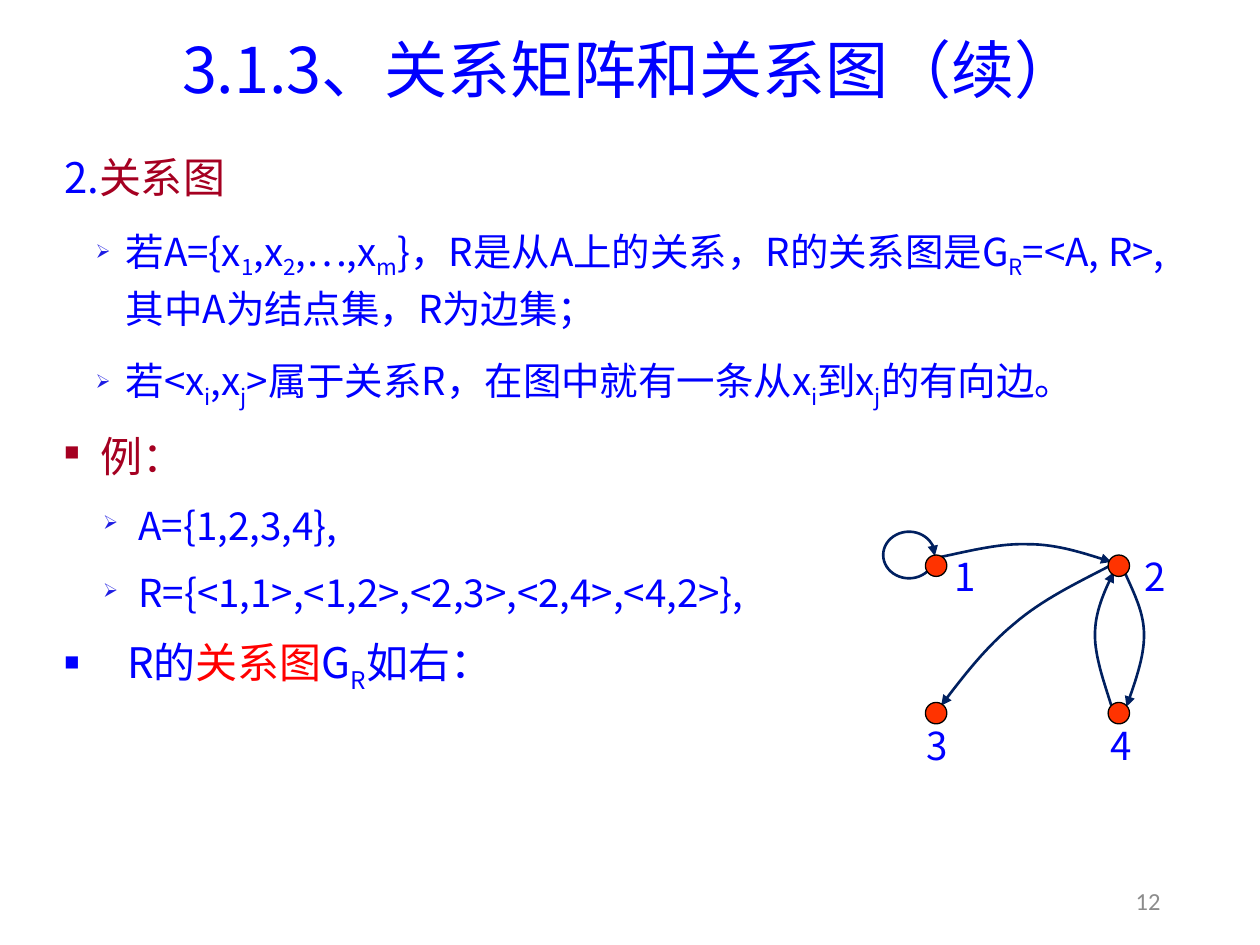
from lxml.etree import SubElement
from pptx import Presentation
from pptx.dml.color import RGBColor
from pptx.enum.shapes import MSO_SHAPE as Shape
from pptx.enum.text import MSO_ANCHOR as Anchor, MSO_AUTO_SIZE as AutoSize, PP_ALIGN as Align
from pptx.oxml.ns import qn
from pptx.util import Inches, Pt

COLORS = {"blue": "0000FF", "maroon": "A50021", "red": "FF0000", "bullet": "1E1CE3",
          "edge": "002060", "node": "FF3300", "outline": "000000", "gray": "8C8C8C"}
BODY_FONT = "Noto Sans CJK SC"
TITLE_FONT = "Noto Sans CJK JP"
NODE_SIZE = 0.17
CURVE_STEPS = 16

# Node centres and label box positions, by node number
NODES = {"1": (7.43, 4.49), "2": (8.88, 4.49), "3": (7.43, 5.66), "4": (8.88, 5.66)}
LABELS = {"1": (7.45, 4.34), "2": (8.96, 4.34), "3": (7.23, 5.68), "4": (8.69, 5.68)}

# Each edge: a start point followed by the control and end points of two cubic curves
EDGES = [
    [(8.81, 4.49), (8.54, 4.63), (8.27, 4.76), (8.05, 4.95), (7.83, 5.13), (7.65, 5.36), (7.47, 5.6)],
    [(8.93, 4.55), (9, 4.71), (9.08, 4.86), (9.08, 5.04), (9.08, 5.22), (9.01, 5.41), (8.94, 5.61)],
    [(8.82, 5.6), (8.76, 5.41), (8.69, 5.21), (8.69, 5.04), (8.69, 4.86), (8.76, 4.7), (8.84, 4.54)],
    [(7.47, 4.42), (7.71, 4.37), (7.94, 4.31), (8.17, 4.32), (8.39, 4.32), (8.6, 4.39), (8.82, 4.46)],
]

# Paragraph styles; text between underscores is subscript
ARROW = {"level": 1, "bullet": "➢", "bullet_color": "bullet", "size": 22}
DEFINITION = {**ARROW, "margin": 0.49, "indent": -0.24}
EXAMPLE = {**ARROW, "margin": 0.59, "indent": -0.28}
BODY = [
    ({"spacing": 1.3, "before": 0}, [("2.", "blue"), ("关系图", "maroon")]),
    ({**DEFINITION, "spacing": 1.1, "after": 0},
     [("若A={x_1_,x_2_,…,x_m_}，R是从A上的关系，R的关系图是G_R_=<A, R>, 其中A为结点集，R为边集；", "blue")]),
    ({**DEFINITION, "spacing": 1.3},
     [("若<x_i_,x_j_>属于关系R，在图中就有一条从x_i_到x_j_的有向边。", "blue")]),
    ({"bullet": "■", "margin": 0.29, "indent": -0.29}, [("例：", "maroon")]),
    (EXAMPLE, [("A={1,2,3,4},", "blue")]),
    (EXAMPLE, [("R={<1,1>,<1,2>,<2,3>,<2,4>,<4,2>},", "blue")]),
    ({"bullet": "■", "margin": 0.5, "indent": -0.5},
     [("R的", "blue"), ("关系图", "red"), ("G_R_如右：", "blue")]),
]


def rgb(name):
    return RGBColor.from_string(COLORS[name])


def add_run(paragraph, text, size, color, font=BODY_FONT, subscript=False):
    run = paragraph.add_run()
    run.text = text
    run.font.size = Pt(size)
    run.font.color.rgb = rgb(color)
    run.font.name = font
    properties = run.font._element
    SubElement(properties, qn("a:ea"), typeface=font)
    if subscript:
        properties.set("baseline", "-25000")


def add_textbox(shapes, left, top, width, height, anchor=Anchor.TOP):
    box = shapes.add_textbox(Inches(left), Inches(top), Inches(width), Inches(height))
    frame = box.text_frame
    frame.word_wrap = True
    frame.auto_size = AutoSize.NONE
    frame.vertical_anchor = anchor
    return frame


def set_bullet(paragraph, character, margin, indent, color=None):
    properties = paragraph._p.get_or_add_pPr()
    properties.set("marL", str(Inches(margin)))
    properties.set("indent", str(Inches(indent)))
    if color:
        SubElement(SubElement(properties, qn("a:buClr")), qn("a:srgbClr"), val=COLORS[color])
    SubElement(properties, qn("a:buSzPct"), val="50000")
    SubElement(properties, qn("a:buChar"), char=character)


def add_title(slide, text):
    title = slide.shapes.title
    title.left, title.top = Inches(0.69), Inches(0.29)
    title.width, title.height = Inches(8.62), Inches(0.58)
    frame = title.text_frame
    frame.auto_size = AutoSize.NONE
    frame.vertical_anchor = Anchor.MIDDLE
    paragraph = frame.paragraphs[0]
    paragraph.alignment = Align.CENTER
    paragraph.line_spacing = 0.9
    add_run(paragraph, text, 36, "blue", TITLE_FONT)


def add_body(slide):
    frame = add_textbox(slide.shapes, 0.41, 1.03, 9.18, 4.47)
    for index, (style, pieces) in enumerate(BODY):
        paragraph = frame.add_paragraph() if index else frame.paragraphs[0]
        paragraph.level = style.get("level", 0)
        if "bullet" in style:
            set_bullet(paragraph, style["bullet"], style["margin"], style["indent"],
                       style.get("bullet_color"))
        paragraph.line_spacing = style.get("spacing", 1.0)
        paragraph.space_before = Pt(style.get("before", 6))
        paragraph.space_after = Pt(style.get("after", 6))
        for text, color in pieces:
            for part, words in enumerate(text.split("_")):
                add_run(paragraph, words, style.get("size", 24), color, subscript=part % 2 == 1)


def style_edge(shape):
    shape.shadow.inherit = False
    shape.fill.background()
    shape.line.color.rgb = rgb("edge")
    shape.line.width = Pt(1.5)
    SubElement(shape.line._get_or_add_ln(), qn("a:tailEnd"), type="triangle")


def curve_points(points):
    """Sample the chained cubic curves after their start point."""
    for first in range(0, len(points) - 1, 3):
        corners = points[first:first + 4]
        for step in range(1, CURVE_STEPS + 1):
            t = step / CURVE_STEPS
            weights = ((1 - t) ** 3, 3 * t * (1 - t) ** 2, 3 * t * t * (1 - t), t ** 3)
            yield tuple(Inches(sum(w * corner[axis] for w, corner in zip(weights, corners)))
                        for axis in (0, 1))


def add_edge(shapes, points):
    x, y = points[0]
    builder = shapes.build_freeform(Inches(x), Inches(y))
    builder.add_line_segments(list(curve_points(points)), close=False)
    style_edge(builder.convert_to_shape())


def add_loop(shapes):
    loop = shapes.add_shape(Shape.ARC, Inches(7.01), Inches(4.22), Inches(0.41), Inches(0.37))
    loop.adjustments[0] = 23.54
    loop.adjustments[1] = 1.41
    style_edge(loop)


def add_node(shapes, x, y):
    node = shapes.add_shape(Shape.FLOWCHART_CONNECTOR, Inches(x - NODE_SIZE / 2),
                            Inches(y - NODE_SIZE / 2), Inches(NODE_SIZE), Inches(NODE_SIZE))
    node.shadow.inherit = False
    node.fill.solid()
    node.fill.fore_color.rgb = rgb("node")
    node.line.color.rgb = rgb("outline")
    node.line.width = Pt(0.75)


def add_label(shapes, text, left, top):
    paragraph = add_textbox(shapes, left, top, 0.42, 0.43).paragraphs[0]
    paragraph.alignment = Align.CENTER
    add_run(paragraph, text, 22, "blue")


def add_graph(slide):
    shapes = slide.shapes.add_group_shape().shapes
    add_loop(shapes)
    for points in EDGES:
        add_edge(shapes, points)
    for x, y in NODES.values():
        add_node(shapes, x, y)
    for text, (left, top) in LABELS.items():
        add_label(shapes, text, left, top)


def add_page_number(slide, number):
    frame = add_textbox(slide.shapes, 8.54, 6.95, 0.77, 0.4, Anchor.MIDDLE)
    paragraph = frame.paragraphs[0]
    paragraph.alignment = Align.RIGHT
    add_run(paragraph, number, 14, "gray", "Calibri")


def main():
    presentation = Presentation()
    presentation.slide_width, presentation.slide_height = Inches(10), Inches(7.5)
    slide = presentation.slides.add_slide(presentation.slide_layouts[5])
    add_title(slide, "3.1.3、关系矩阵和关系图（续）")
    add_body(slide)
    add_page_number(slide, "12")
    add_graph(slide)
    presentation.save("out.pptx")


if __name__ == "__main__":
    main()
